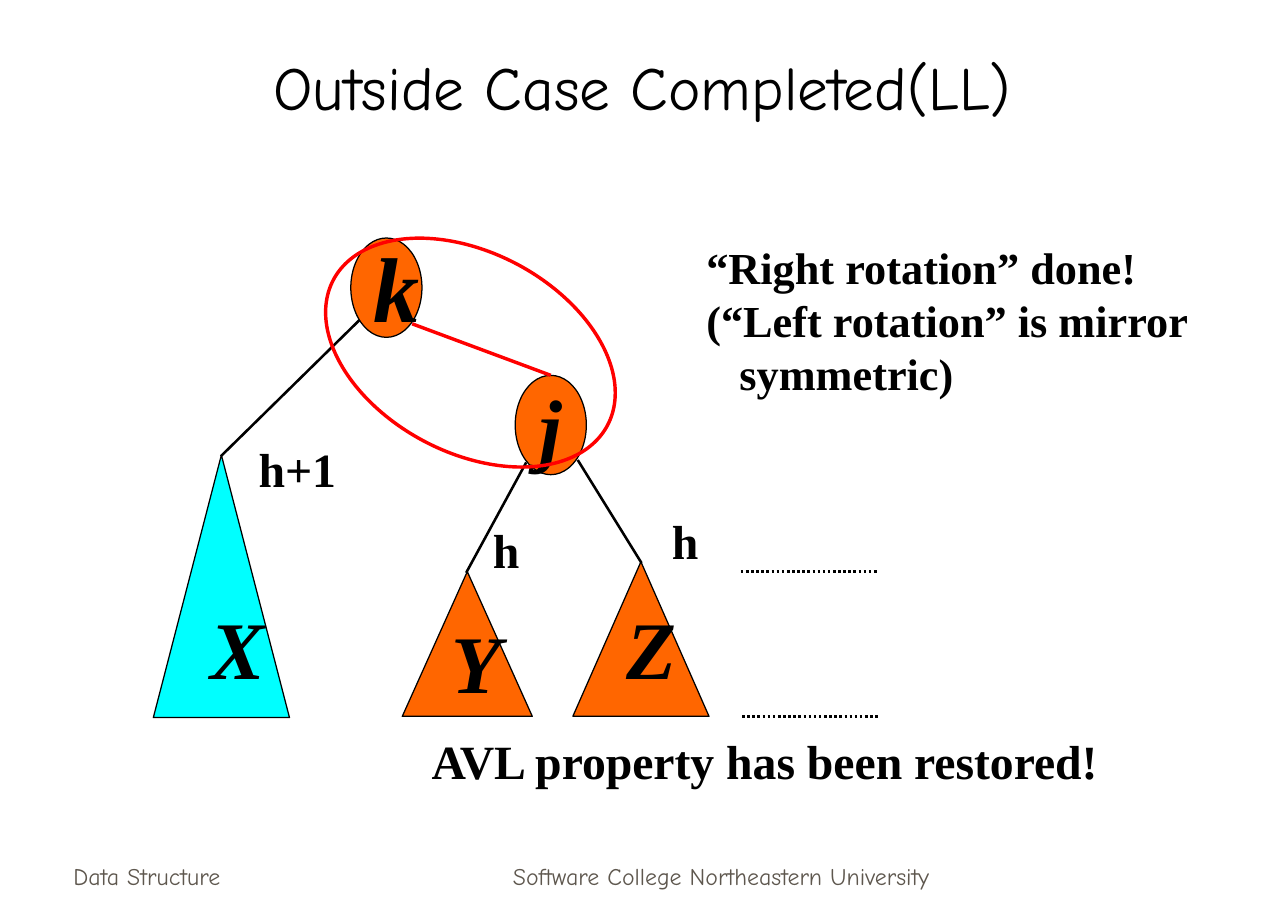
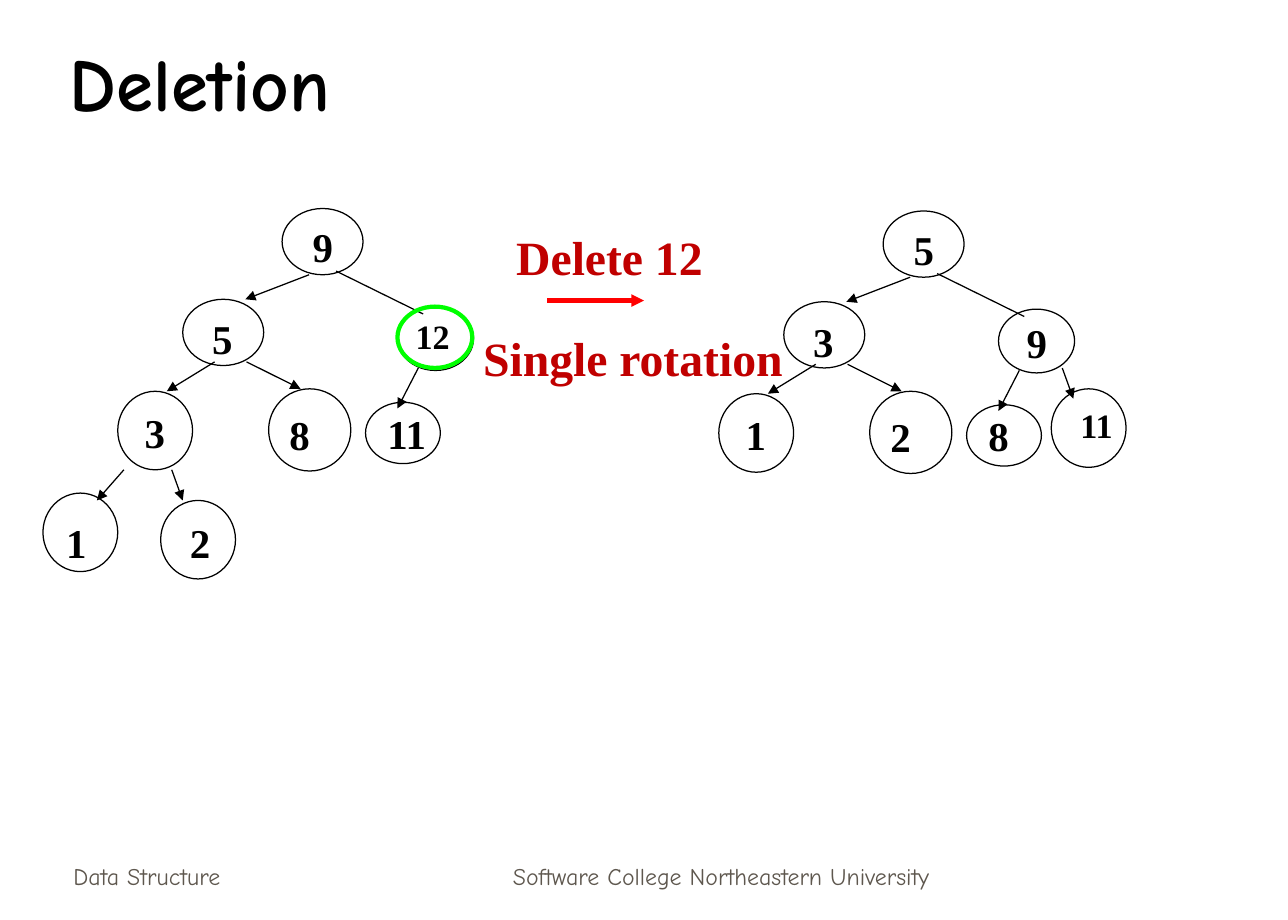
from lxml import etree
from pptx import Presentation
from pptx.dml.color import RGBColor
from pptx.enum import dml, shapes, text
from pptx.oxml.ns import qn
from pptx.util import Inches, Pt

BLACK = RGBColor(0x00, 0x00, 0x00)
GREY = RGBColor(0x5E, 0x57, 0x4E)
RED = RGBColor(0xFF, 0x00, 0x00)
DARK = RGBColor(0xC0, 0x00, 0x00)
GREEN = RGBColor(0x00, 0xFF, 0x00)
CYAN = RGBColor(0x00, 0xFF, 0xFF)
ORANGE = RGBColor(0xFF, 0x66, 0x00)
COMIC = "Comic Neue"
TIMES = "Times New Roman"
OVAL = shapes.MSO_SHAPE.OVAL
CONE = shapes.MSO_SHAPE.ISOSCELES_TRIANGLE
LEFT, MID = text.PP_ALIGN.LEFT, text.PP_ALIGN.CENTER
TOP, BASE = text.MSO_ANCHOR.TOP, text.MSO_ANCHOR.BOTTOM

NODES = {
    "root": (2.3, 1.7, 0.66, 0.54),
    "left": (1.49, 2.44, 0.66, 0.54),
    "right": (3.24, 2.5, 0.62, 0.52),
    "ll": (0.96, 3.19, 0.61, 0.64),
    "lr": (2.19, 3.17, 0.67, 0.67),
    "rl": (2.98, 3.28, 0.61, 0.5),
    "rr": (3.67, 3.15, 0.61, 0.64),
    "lll": (0.35, 4.02, 0.61, 0.64),
    "llr": (1.31, 4.08, 0.61, 0.64),
}
EDGES = {
    "left": (2.52, 2.24, 2, 2.44),
    "right": (2.74, 2.21, 3.45, 2.56),
    "ll": (1.75, 2.95, 1.36, 3.19),
    "lr": (2.01, 2.95, 2.45, 3.17),
    "rl": (3.41, 3, 3.24, 3.33),
    "rr": (3.76, 2.98, 3.85, 3.23),
    "lll": (1.01, 3.83, 0.79, 4.08),
    "llr": (1.4, 3.83, 1.49, 4.08),
}
BEFORE = {
    "root": ("9", 0.15, 0.06, 24),
    "left": ("5", 0.14, 0.07, 24),
    "right": ("12", 0.05, 0.02, 20),
    "ll": ("3", 0.12, 0.08, 24),
    "lr": ("8", 0.07, 0.12, 24),
    "rl": ("11", 0.08, 0, 24),
    "lll": ("1", 0.09, 0.15, 24),
    "llr": ("2", 0.14, 0.09, 24),
}
AFTER = {
    "root": ("5", 0.15, 0.06, 24),
    "left": ("3", 0.14, 0.07, 24),
    "right": ("9", 0.13, 0.02, 24),
    "ll": ("1", 0.12, 0.08, 24),
    "lr": ("2", 0.07, 0.12, 24),
    "rl": ("8", 0.08, 0, 24),
    "rr": ("11", 0.14, 0.08, 20),
}


class Deck:
    def __init__(self):
        self.show = Presentation()
        self.show.slide_width = Inches(10.5)
        self.show.slide_height = Inches(7.5)
        self.slide = None

    def start(self, title, box, size, bold, align):
        self.slide = self.show.slides.add_slide(self.show.slide_layouts[5])
        head = self.slide.shapes.title
        head.left, head.top, head.width, head.height = map(Inches, box)
        self.fill_text(head.text_frame, [title], size, COMIC, BLACK, bold, False, align, BASE)
        foot = dict(size=14, font=COMIC, color=GREY, bold=False, anchor=BASE)
        self.label("Data Structure", 0.5, 6.81, 2.19, 0.5, **foot)
        self.label("Software College Northeastern University",
                   3.59, 6.81, 4.58, 0.5, align=MID, **foot)

    def fill_text(self, frame, lines, size, font=TIMES, color=BLACK, bold=True,
                  slant=False, align=LEFT, anchor=TOP):
        frame.word_wrap = True
        frame.auto_size = text.MSO_AUTO_SIZE.NONE
        frame.vertical_anchor = anchor
        for i, line in enumerate(lines):
            para = frame.paragraphs[0] if i == 0 else frame.add_paragraph()
            para.alignment = align
            run = para.add_run()
            run.text = line
            face = run.font
            face.name, face.size = font, Pt(size)
            face.bold, face.italic = bold, slant
            face.color.rgb = color

    def label(self, words, x, y, w, h, size=28, **style):
        box = self.slide.shapes.add_textbox(*map(Inches, (x, y, w, h)))
        self.fill_text(box.text_frame, words.split("\n"), size, **style)
        return box

    def shape(self, kind, box, fill=None, line=BLACK, width=0.75, turn=0):
        item = self.slide.shapes.add_shape(kind, *map(Inches, box))
        item.shadow.inherit = False
        item.rotation = turn
        if fill is None:
            item.fill.background()
        else:
            item.fill.solid()
            item.fill.fore_color.rgb = fill
        item.line.color.rgb = line
        item.line.width = Pt(width)
        return item

    def line(self, ends, color=BLACK, width=1.5, dots=False, arrow=False):
        item = self.slide.shapes.add_connector(
            shapes.MSO_CONNECTOR.STRAIGHT, *map(Inches, ends))
        item.line.color.rgb = color
        item.line.width = Pt(width)
        if dots:
            item.line.dash_style = dml.MSO_LINE.ROUND_DOT
        props = item._element.spPr
        if arrow:
            etree.SubElement(props.find(qn("a:ln")), qn("a:tailEnd"), type="triangle")
        etree.SubElement(props, qn("a:effectLst"))

    def tree(self, keys, dx=0, dy=0):
        for name, (word, across, down, size) in keys.items():
            x, y, w, h = NODES[name]
            x, y = x + dx, y + dy
            self.shape(OVAL, (x, y, w, h))
            self.label(word, x + across, y + down, 0.65, 0.5, size)
            if name in EDGES:
                a, b, c, d = EDGES[name]
                self.line((a + dx, b + dy, c + dx, d + dy), width=0.75,
                          arrow=name != "right")


def case(deck):
    deck.start("Outside Case Completed(LL)", (0.75, 0.17, 8.97, 0.88), 36, False, MID)
    note = deck.label("“Right rotation” done!\n(“Left rotation” is mirror\nsymmetric)",
                      5.66, 1.91, 4.24, 1.4, 26)
    last = note.text_frame.paragraphs[-1]
    last._p.get_or_add_pPr().set("marL", str(Inches(0.27)))
    deck.label("AVL property has been restored!", 3.42, 5.92, 5.8, 0.57)

    node = deck.shape(OVAL, (4.2, 3.06, 0.58, 0.81), ORANGE)
    deck.fill_text(node.text_frame, ["j"], 48, slant=True, align=MID,
                   anchor=text.MSO_ANCHOR.MIDDLE)
    deck.shape(OVAL, (2.86, 1.94, 0.58, 0.81), ORANGE)
    deck.label("k", 2.95, 1.83, 0.65, 1, 54, slant=True)

    for word, box, fill, x, y in (
        ("X", (1.25, 3.71, 1.11, 2.14), CYAN, 1.62, 4.82),
        ("Y", (3.28, 4.66, 1.06, 1.18), ORANGE, 3.58, 4.94),
        ("Z", (4.67, 4.58, 1.11, 1.26), ORANGE, 5.01, 4.82),
    ):
        deck.shape(CONE, box, fill)
        deck.label(word, x, y, 0.75, 0.9, 48, slant=True)

    for ends in ((6.04, 4.66, 7.15, 4.66), (6.05, 5.84, 7.17, 5.84)):
        deck.line(ends, dots=True)
    for ends in ((1.8, 3.72, 2.93, 2.61), (4.29, 3.77, 3.8, 4.67),
                 (4.71, 3.75, 5.23, 4.59)):
        deck.line(ends)
    deck.line((3.36, 2.64, 4.49, 3.06), RED, 2)
    deck.shape(OVAL, (2.57, 2.06, 2.53, 1.63), line=RED, width=2, turn=28)
    for word, x, y, w in (("h", 5.38, 4.12, 0.5), ("h+1", 2.01, 3.54, 0.95),
                          ("h", 3.92, 4.2, 0.5)):
        deck.label(word, x, y, w, 0.57)


def delete(deck):
    deck.start("Deletion", (0.47, 0.25, 8.93, 0.83), 44, True, LEFT)
    deck.tree(BEFORE)
    deck.tree(AFTER, 4.9, 0.02)
    deck.shape(OVAL, (3.24, 2.5, 0.61, 0.5), line=GREEN, width=2.5)
    deck.line((4.46, 2.45, 5.25, 2.45), RED, 2.5, arrow=True)
    deck.label("Delete 12", 4.11, 1.81, 1.82, 0.57, color=DARK)
    deck.label("Single rotation", 3.84, 2.63, 2.75, 0.57, color=DARK)


def main():
    deck = Deck()
    case(deck)
    delete(deck)
    deck.show.save("out.pptx")


if __name__ == "__main__":
    main()
